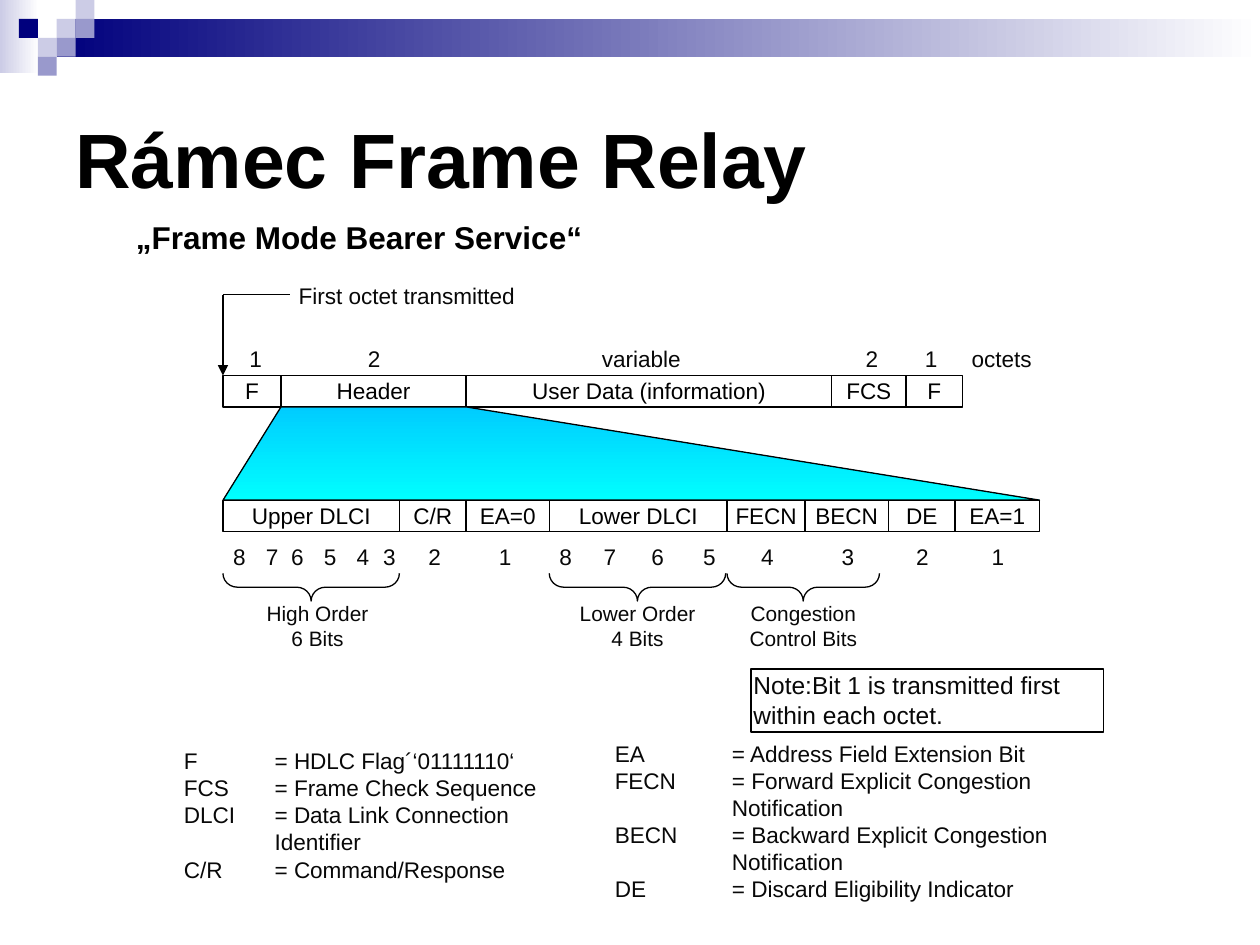
from itertools import pairwise

from lxml import etree
from pptx import Presentation
from pptx.dml.color import RGBColor
from pptx.enum import shapes, text
from pptx.oxml import ns
from pptx.util import Inches, Pt

COLORS = {
    "navy": "00007D", "violet": "9999CC", "lavender": "CCCCE6", "white": "FFFFFF",
    "sky": "00CCFF", "cyan": "00FFFF", "black": "000000", "ink": "080808",
}
FONT = "Arial"
BODY_SIZE = 12.9
ROW_HEIGHT = 0.25
LEFT, CENTER, RIGHT = text.PP_ALIGN.LEFT, text.PP_ALIGN.CENTER, text.PP_ALIGN.RIGHT


def rgb(name):
    return RGBColor.from_string(COLORS[name])


def paint(shape, fill=None, line=None, angle=0):
    """Fill with nothing, one colour, or a gradient from a pair of colours."""
    shape.shadow.inherit = False
    if fill is None:
        shape.fill.background()
    elif isinstance(fill, tuple):
        shape.fill.gradient()
        shape.fill.gradient_angle = angle
        for stop, name, position in zip(shape.fill.gradient_stops, fill, (0, 1)):
            stop.color.rgb = rgb(name)
            stop.position = position
    else:
        shape.fill.solid()
        shape.fill.fore_color.rgb = rgb(fill)
    if line:
        shape.line.color.rgb = rgb(line)
        shape.line.width = Pt(0.75)
    else:
        shape.line.fill.background()


def add_rectangle(slide, box, fill=None, line=None):
    shape = slide.shapes.add_shape(shapes.MSO_SHAPE.RECTANGLE, *map(Inches, box))
    paint(shape, fill, line)
    return shape


def write(shape, lines, size=BODY_SIZE, align=CENTER, color="ink", bold=False,
          margins=(0.02, 0.01), anchor=text.MSO_ANCHOR.TOP, wrap=True, hanging=0):
    frame = shape.text_frame
    frame.word_wrap = wrap
    frame.vertical_anchor = anchor
    frame.margin_left = frame.margin_right = Inches(margins[0])
    frame.margin_top = frame.margin_bottom = Inches(margins[1])
    for index, line in enumerate(lines):
        paragraph = frame.add_paragraph() if index else frame.paragraphs[0]
        paragraph.text = line
        paragraph.alignment = align
        if hanging:
            properties = paragraph._p.get_or_add_pPr()
            properties.set("marL", str(Inches(hanging)))
            properties.set("indent", str(-Inches(hanging)))
        paragraph.font.name = FONT
        paragraph.font.size = Pt(size)
        paragraph.font.bold = bold
        paragraph.font.color.rgb = rgb(color)


def add_label(slide, box, lines, **style):
    write(slide.shapes.add_textbox(*map(Inches, box)), lines, **style)


def add_line(slide, start, end, arrow=False):
    connector = slide.shapes.add_connector(
        shapes.MSO_CONNECTOR.STRAIGHT, *map(Inches, (*start, *end)))
    connector.line.color.rgb = rgb("black")
    connector.line.width = Pt(0.75)
    if arrow:
        etree.SubElement(connector.line._get_or_add_ln(), ns.qn("a:tailEnd"), type="triangle")
    etree.SubElement(connector._element.spPr, ns.qn("a:effectLst"))


def add_banner(slide, width):
    add_rectangle(slide, (0, 0, 0.31, 0.58), ("lavender", "white"))
    add_rectangle(slide, (0.45, 0.15, width - 0.45, 0.3), ("navy", "white"))
    tile = 0.15
    tiles = [(3, 1, "lavender"), (4, 0, "lavender"), (4, 1, "violet"), (2, 2, "lavender"),
             (1, 1, "navy"), (3, 2, "violet"), (2, 3, "violet")]
    for column, row, color in tiles:
        add_rectangle(slide, (column * tile, row * tile, tile, tile), color)


def add_titles(slide, left, top):
    middle = text.MSO_ANCHOR.MIDDLE
    add_label(slide, (left, top, 9, 1.5), ["Rámec Frame Relay"], size=44, align=LEFT,
              color="black", bold=True, margins=(0.1, 0.05), anchor=middle)
    add_label(slide, (left + 0.48, top + 1.18, 3.74, 0.4), ["„Frame Mode Bearer Service“"],
              size=18, align=RIGHT, color="black", bold=True, margins=(0.1, 0.05),
              anchor=text.MSO_ANCHOR.BOTTOM, wrap=False)


def add_cells(slide, left, top, edges, names):
    for (start, end), name in zip(pairwise(edges), names):
        cell = add_rectangle(slide, (left + start, top, end - start, ROW_HEIGHT), line="black")
        write(cell, [name], color="black")


def add_centered_labels(slide, left, top, labels, width):
    for center, label in labels:
        add_label(slide, (left + center - width / 2, top, width, ROW_HEIGHT), [label])


def add_frame(slide, left, top, edges):
    """Frame fields with their octet counts above and the first-octet pointer."""
    add_cells(slide, left, top, edges, ["F", "Header", "User Data (information)", "FCS", "F"])
    counts = [(0.26, "1"), (1.2, "2"), (3.32, "variable"), (5.15, "2"), (5.62, "1"),
              (6.18, "octets")]
    add_centered_labels(slide, left, top - ROW_HEIGHT, counts, 0.8)
    corner = (left, top - 0.64)
    add_line(slide, corner, (left, top), arrow=True)
    add_line(slide, corner, (left + 0.53, corner[1]))
    add_label(slide, (left + 0.58, top - 0.75, 2.28, ROW_HEIGHT),
              ["First octet transmitted"], align=LEFT)


def add_expansion(slide, left, top, upper, lower, height):
    """Trapezoid that opens the header field onto the row of its bits."""
    points = [(lower[0], height), (upper[0], 0), (upper[1], 0), (lower[1], height)]
    corners = [(Inches(left + x), Inches(top + y)) for x, y in points]
    builder = slide.shapes.build_freeform(*corners[0])
    builder.add_line_segments(corners[1:], close=True)
    paint(builder.convert_to_shape(), ("sky", "cyan"), "black", angle=270)


def add_brace(slide, left, top, width, lines, shift=0):
    depth = 0.22
    brace = slide.shapes.add_shape(
        shapes.MSO_SHAPE.LEFT_BRACE, Inches(left + (width - depth) / 2),
        Inches(top + (depth - width) / 2), Inches(depth), Inches(width))
    brace.rotation = 270
    brace.adjustments[0] = 0.52
    paint(brace, line="black")
    add_label(slide, (left + shift, top + 0.21, width, 0.44), lines, size=11.9)


def add_header(slide, left, top, edges):
    """Header fields, their bit numbers and the braces that group them."""
    add_cells(slide, left, top, edges, ["Upper DLCI", "C/R", "EA=0", "Lower DLCI", "FECN",
                                        "BECN", "DE", "EA=1"])
    centers = [0.13, 0.39, 0.59, 0.85, 1.11, 1.32, 1.68, 2.24,
               2.72, 3.07, 3.45, 3.86, 4.32, 4.96, 5.55, 6.15]
    add_centered_labels(slide, left, top + 0.33, zip(centers, "87654321" * 2), 0.26)
    brace_top = top + 0.58
    add_brace(slide, left, brace_top, 1.4, ["High Order", "6 Bits"], shift=0.05)
    add_brace(slide, left + edges[3], brace_top, 1.4, ["Lower Order", "4 Bits"])
    add_brace(slide, left + edges[4], brace_top, 1.21, ["Congestion Control Bits"])


def add_note(slide, box):
    write(add_rectangle(slide, box, line="black"),
          ["Note:Bit 1 is transmitted first within each octet."], size=14, align=LEFT)


def add_legend(slide, box, hanging, entries):
    lines = [f"{term}\t= {meaning}" for term, meaning in entries]
    add_label(slide, box, lines, align=LEFT, hanging=hanging)


def main():
    presentation = Presentation()
    presentation.slide_width, presentation.slide_height = Inches(10), Inches(7.5)
    slide = presentation.slides.add_slide(presentation.slide_layouts[6])

    left, frame_top, header_top = 1.77, 2.98, 3.97
    frame_edges = [0, 0.46, 1.93, 4.83, 5.42, 5.87]
    header_edges = [0, 1.4, 1.93, 2.59, 4, 4.62, 5.28, 5.81, 6.48]
    frame_bottom = frame_top + ROW_HEIGHT

    add_banner(slide, 10)
    add_titles(slide, 0.5, 0.5)
    add_frame(slide, left, frame_top, frame_edges)
    add_expansion(slide, left, frame_bottom, frame_edges[1:3],
                  (header_edges[0], header_edges[-1]), header_top - frame_bottom)
    add_header(slide, left, header_top, header_edges)
    add_note(slide, (5.96, 5.31, 2.8, 0.5))
    add_legend(slide, (1.44, 5.92, 3.26, 1.12), 0.72, [
        ("F", "HDLC Flag´‘01111110‘"),
        ("FCS", "Frame Check Sequence"),
        ("DLCI", "Data Link Connection Identifier"),
        ("C/R", "Command/Response"),
    ])
    add_legend(slide, (4.86, 5.86, 3.54, 1.43), 0.93, [
        ("EA", "Address Field Extension Bit"),
        ("FECN", "Forward Explicit Congestion Notification"),
        ("BECN", "Backward Explicit Congestion Notification"),
        ("DE", "Discard Eligibility Indicator"),
    ])
    presentation.save("out.pptx")


if __name__ == "__main__":
    main()
